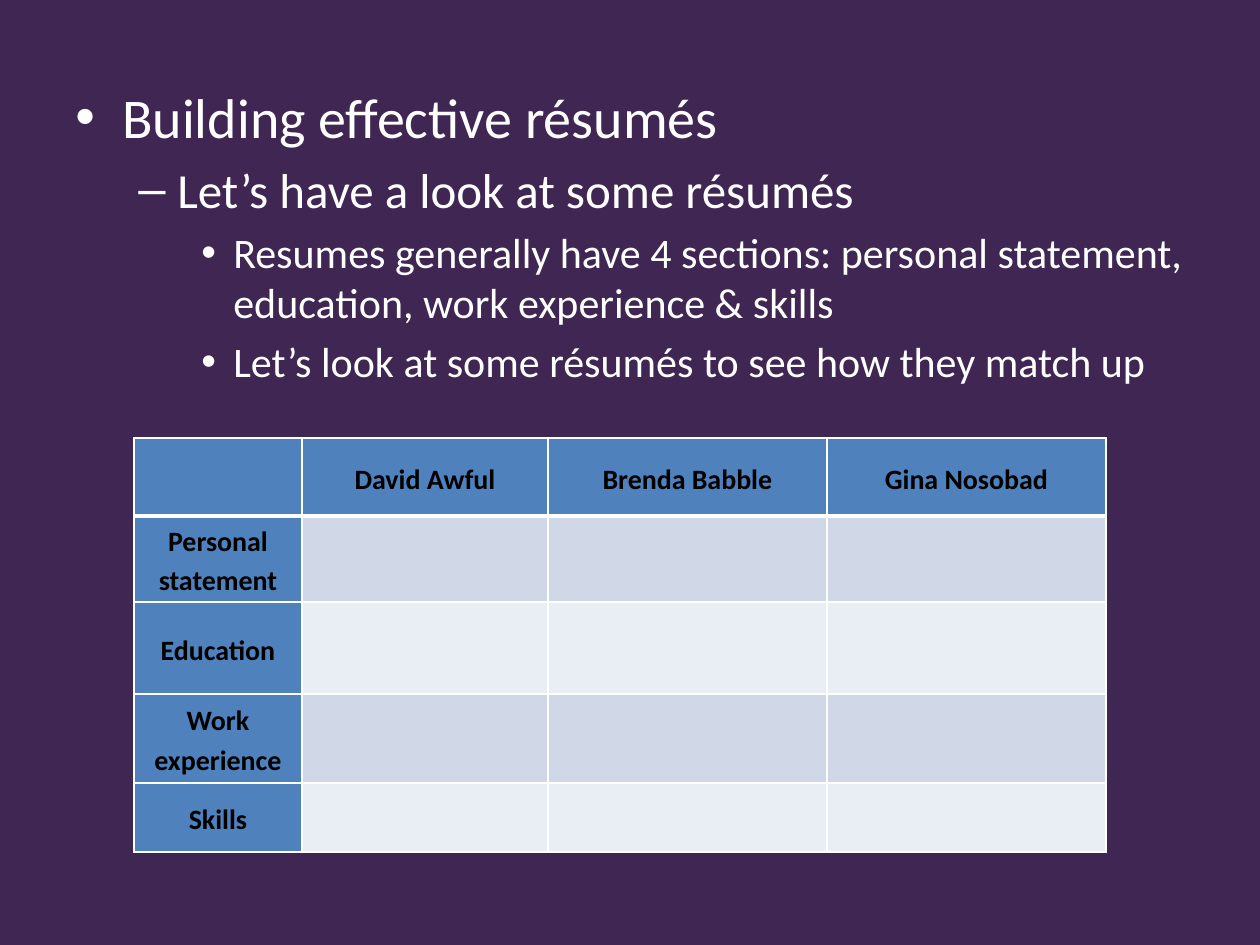
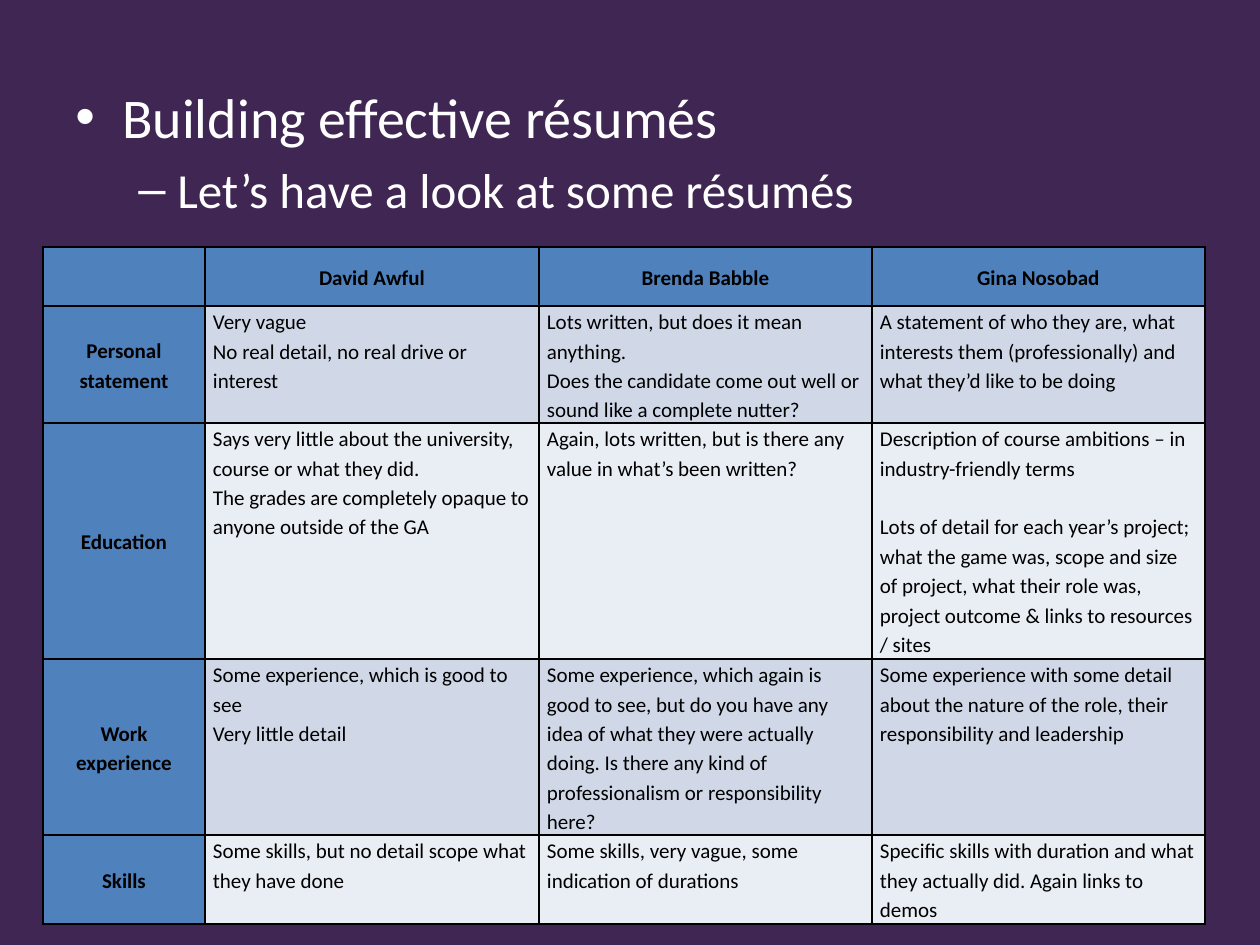
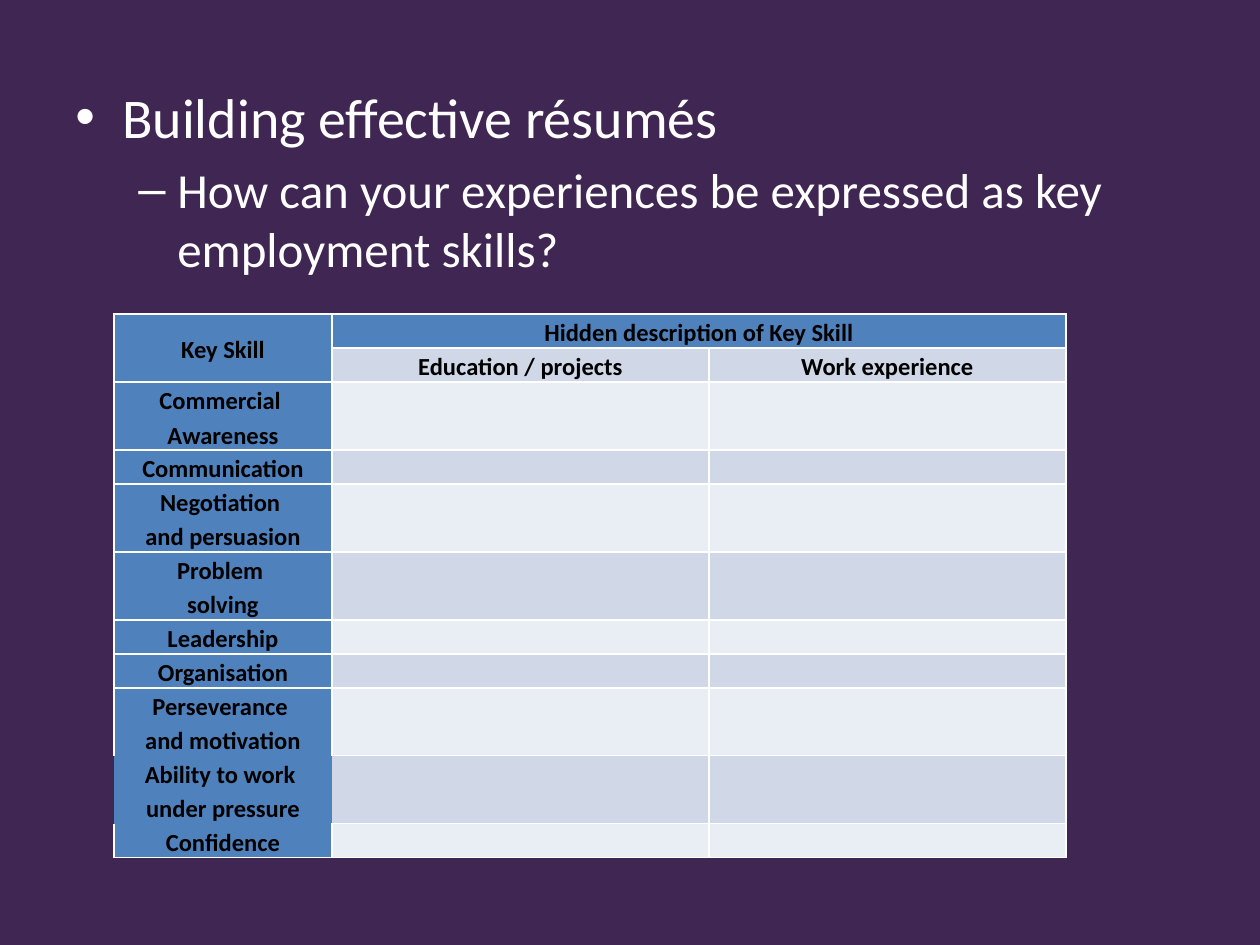
import lxml.etree
import pptx
import pptx.dml.color
import pptx.enum.text
import pptx.oxml.ns
import pptx.util

COLORS = {
    "background": "402652",
    "white": "FFFFFF",
    "black": "000000",
    "header": "4F81BD",
    "odd row": "D0D8E8",
    "even row": "E9EDF4",
}
FONT = "Calibri"
BORDER_TAGS = {"l": "a:lnL", "r": "a:lnR", "t": "a:lnT", "b": "a:lnB"}
# Outline levels: bullet, text size, left margin and hanging indent in px
LEVELS = [("•", 32, 47, 47), ("–", 28, 102, 39), ("•", 24, 158, 32)]


def px(length):
    return pptx.util.Emu(round(length * 914400 / 126))


def add_xml(parent, tag, **attributes):
    element = lxml.etree.SubElement(parent, pptx.oxml.ns.qn(tag))
    for name, value in attributes.items():
        element.set(name, str(value))
    return element


candidates = ["David Awful", "Brenda Babble", "Gina Nosobad"]
sections = ["Personal\nstatement", "Education", "Work\nexperience", "Skills"]
comments = [
    ["Very vague\nNo real detail, no real drive or interest",
     "Lots written, but does it mean anything.\n"
     "Does the candidate come out well or sound like a complete nutter?",
     "A statement of who they are, what interests them (professionally) "
     "and what they’d like to be doing"],
    ["Says very little about the university, course or what they did.\n"
     "The grades are completely opaque to anyone outside of the GA",
     "Again, lots written, but is there any value in what’s been written?",
     "Description of course ambitions – in industry-friendly terms\n"
     "Lots of detail for each year’s project;\n"
     "what the game was, scope and size of project, what their role was, "
     "project outcome & links to resources / sites"],
    ["Some experience, which is good to see\nVery little detail",
     "Some experience, which again is good to see, but do you have any idea "
     "of what they were actually doing. Is there any kind of professionalism "
     "or responsibility here?",
     "Some experience with some detail about the nature of the role, "
     "their responsibility and leadership"],
    ["Some skills, but no detail scope what they have done",
     "Some skills, very vague, some indication of durations",
     "Specific skills with duration and what they actually did. "
     "Again links to demos"],
]
skills = ["Commercial \nAwareness", "Communication", "Negotiation \nand persuasion",
          "Problem \nsolving", "Leadership", "Organisation",
          "Perseverance \nand motivation", "Ability to work \nunder pressure",
          "Confidence"]
skill_rows = [["Key Skill", "Hidden description of Key Skill", ""],
              ["", "Education / projects", "Work experience"]]
skill_rows += [[skill, "", ""] for skill in skills]

topic = (0, "Building effective résumés")
look = (1, "Let’s have a look at some résumés")
slides = [
    {
        "outline": [
            topic, look,
            (2, "Resumes generally have 4 sections: personal statement, "
                "education, work experience & skills"),
            (2, "Let’s look at some résumés to see how they match up")],
        "position": (134, 438), "columns": [168, 246, 279, 279],
        "heights": [78, 86, 92, 89, 69],
        "rows": [["", *candidates]] + [[section, "", "", ""] for section in sections],
        "size": 16, "inset": 8, "border": "white", "header rows": 1,
        "header rule": 3, "sides": {}, "merges": [], "gaps": [],
    },
    {
        "outline": [topic, look],
        "position": (43, 247), "columns": [162, 334, 333, 333],
        "heights": [59, 117, 236, 176, 89],
        "rows": [["", *candidates]]
                + [[section, *row] for section, row in zip(sections, comments)],
        "size": 12, "inset": 8, "border": "black", "header rows": 1,
        "header rule": 1, "sides": {}, "merges": [], "gaps": [(2, 3, 1)],
    },
    {
        "outline": [topic, (1, "How can your experiences be expressed as key "
                               "employment skills?")],
        "position": (114, 314), "columns": [218, 377, 357],
        "heights": [34, 34] + [34 * len(skill.split("\n")) for skill in skills],
        "rows": skill_rows,
        "size": 14, "inset": 9, "border": "white", "header rows": 2,
        "header rule": 1,
        "sides": {(8, 0): "ltr", (9, 0): "", (9, 1): "trb", (10, 0): "lrb"},
        "merges": [(0, 0, 1, 0), (0, 1, 0, 2)], "gaps": [],
    },
]

presentation = pptx.Presentation()
presentation.slide_width = px(1260)
presentation.slide_height = px(945)

for content in slides:
    slide = presentation.slides.add_slide(presentation.slide_layouts[6])
    slide.background.fill.solid()
    slide.background.fill.fore_color.rgb = pptx.dml.color.RGBColor.from_string(
        COLORS["background"])

    # Bulleted outline
    outline = slide.shapes.add_textbox(px(63), px(76), px(1134), px(769)).text_frame
    outline.word_wrap = True
    for index, (level, text) in enumerate(content["outline"]):
        bullet, size, margin, hanging = LEVELS[level]
        paragraph = outline.paragraphs[0] if index == 0 else outline.add_paragraph()
        paragraph.level = level
        run = paragraph.add_run()
        run.text = text
        run.font.name = FONT
        run.font.size = pptx.util.Pt(size)
        run.font.color.rgb = pptx.dml.color.RGBColor.from_string(COLORS["white"])
        properties = paragraph._p.get_or_add_pPr()
        properties.set("marL", str(px(margin)))
        properties.set("indent", str(-px(hanging)))
        add_xml(add_xml(properties, "a:spcBef"), "a:spcPct", val=20000)
        add_xml(properties, "a:buFont", typeface="Arial")
        add_xml(properties, "a:buChar", char=bullet)

    # Table grid
    rows, columns, heights = content["rows"], content["columns"], content["heights"]
    left, top = content["position"]
    table = slide.shapes.add_table(len(rows), len(columns), px(left), px(top),
                                   px(sum(columns)), px(sum(heights))).table
    table.first_row = False
    table.horz_banding = False
    for column, width in zip(table.columns, columns):
        column.width = px(width)
    for row, height in zip(table.rows, heights):
        row.height = px(height)

    # Table cells
    for row_index, row in enumerate(rows):
        for column_index, text in enumerate(row):
            cell = table.cell(row_index, column_index)
            is_header = row_index < content["header rows"] or column_index == 0
            cell.margin_left = cell.margin_right = px(content["inset"])
            cell.margin_top = cell.margin_bottom = 0
            if is_header:
                cell.vertical_anchor = pptx.enum.text.MSO_ANCHOR.MIDDLE

            # Borders
            visible_sides = content["sides"].get((row_index, column_index), "lrtb")
            cell_properties = cell._tc.get_or_add_tcPr()
            for side, tag in BORDER_TAGS.items():
                on_rule = (row_index, side) in [(0, "b"), (1, "t")]
                weight = content["header rule"] if on_rule else 1
                line = add_xml(cell_properties, tag, w=pptx.util.Pt(weight))
                if side in visible_sides:
                    add_xml(add_xml(line, "a:solidFill"), "a:srgbClr",
                            val=COLORS[content["border"]])
                else:
                    add_xml(line, "a:noFill")

            # Fill
            if row_index == 0 or column_index == 0:
                fill_name = "header"
            else:
                fill_name = "odd row" if row_index % 2 else "even row"
            cell.fill.solid()
            cell.fill.fore_color.rgb = pptx.dml.color.RGBColor.from_string(
                COLORS[fill_name])

            # Text
            for index, words in enumerate(text.split("\n")):
                frame = cell.text_frame
                paragraph = frame.paragraphs[0] if index == 0 else frame.add_paragraph()
                paragraph.line_spacing = 1.15
                if not words:
                    add_xml(paragraph._p, "a:endParaRPr", sz=content["size"] * 100)
                    continue
                if is_header:
                    paragraph.alignment = pptx.enum.text.PP_ALIGN.CENTER
                run = paragraph.add_run()
                run.text = words
                run.font.name = FONT
                run.font.size = pptx.util.Pt(content["size"])
                run.font.bold = is_header
                run.font.color.rgb = pptx.dml.color.RGBColor.from_string(
                    COLORS["black"])

    # One-line gaps inside cells, and merged headings
    for row_index, column_index, index in content["gaps"]:
        frame = table.cell(row_index, column_index).text_frame
        frame.paragraphs[index].space_before = pptx.util.Pt(16.8)
    for first_row, first_column, last_row, last_column in content["merges"]:
        table.cell(first_row, first_column).merge(table.cell(last_row, last_column))

presentation.save("out.pptx")
